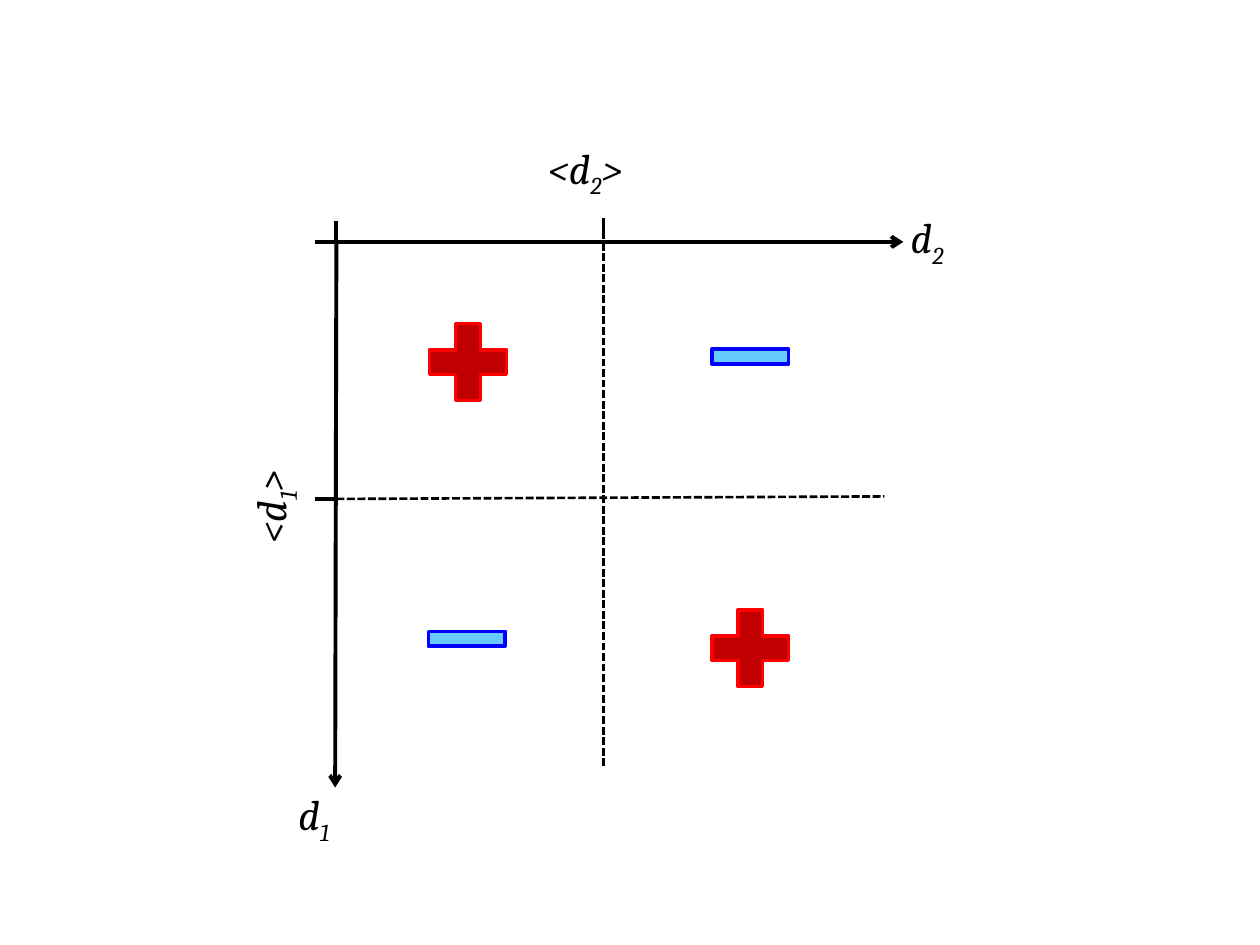
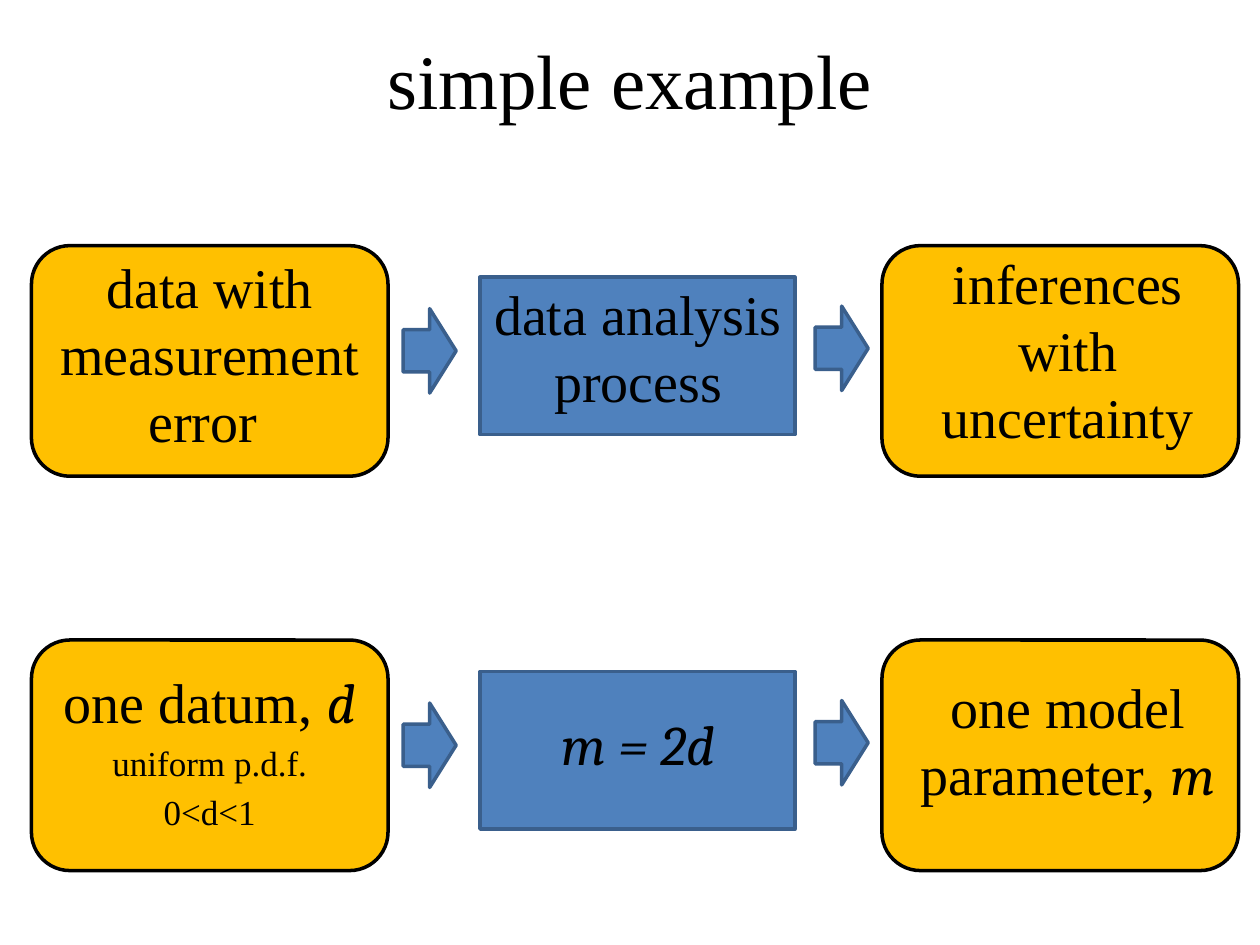
from pptx import Presentation
from pptx.dml.color import RGBColor
from pptx.enum.dml import MSO_LINE
from pptx.enum.shapes import MSO_CONNECTOR, MSO_SHAPE
from pptx.enum.text import MSO_ANCHOR, MSO_AUTO_SIZE, PP_ALIGN
from pptx.oxml.ns import qn
from pptx.util import Inches, Pt
from lxml import etree

STRAIGHT = MSO_CONNECTOR.STRAIGHT
DASH = MSO_LINE.SQUARE_DOT
PLUS, MINUS = MSO_SHAPE.MATH_PLUS, MSO_SHAPE.MATH_MINUS
RECT, ROUND, ARROW = MSO_SHAPE.RECTANGLE, MSO_SHAPE.ROUNDED_RECTANGLE, MSO_SHAPE.RIGHT_ARROW
CENTER, LEFT = PP_ALIGN.CENTER, PP_ALIGN.LEFT

THEME = {
    "ink": RGBColor.from_string("000000"),
    # fill and outline pairs
    "plus": ("C00000", "FF0000"),
    "minus": ("66CCFF", "0000FF"),
    "process": ("4F81BD", "3A5F8C"),
    "data": ("FFC000", "000000"),
    "axis": 2.25, "dash": 1.5, "outline": 2,
    # text formats
    "title": {"name": "Times New Roman", "size": Pt(44)},
    "text": {"name": "Times New Roman", "size": Pt(32)},
    "small": {"name": "Times New Roman", "size": Pt(20)},
    "symbol": {"name": "Cambria", "size": Pt(32), "italic": True},
    "label": {"name": "Cambria", "size": Pt(24), "italic": True},
}


def add_shape(shapes, kind, box, style):
    sp = shapes.add_shape(kind, *map(Inches, box))
    sp.shadow.inherit = False
    fill, line = (RGBColor.from_string(c) for c in THEME[style])
    sp.fill.solid()
    sp.fill.fore_color.rgb = fill
    sp.line.color.rgb = line
    sp.line.width = Pt(THEME["outline"])


def write(sp, paragraphs, align=CENTER, before=0.2):
    """Each paragraph is a list of (text, format name); 'sub' lowers a label."""
    tf = sp.text_frame
    tf.word_wrap = True
    tf.auto_size = MSO_AUTO_SIZE.NONE
    for i, runs in enumerate(paragraphs):
        p = tf.paragraphs[0] if i == 0 else tf.add_paragraph()
        p.alignment = align
        for text, style in runs:
            r = p.add_run()
            r.text = text
            fmt = THEME["label" if style == "sub" else style]
            for name, value in fmt.items():
                setattr(r.font, name, value)
            r.font.color.rgb = THEME["ink"]
            if style == "sub":
                r.font._element.set("baseline", "-25000")
        p.space_before = Pt(before * p.runs[0].font.size.pt)
        pPr = p._p.get_or_add_pPr()
        pPr.set("marL", "0")
        pPr.set("indent", "0")
        etree.SubElement(pPr, qn("a:buNone"))


prs = Presentation()
prs.slide_width, prs.slide_height = Inches(10), Inches(7.5)

# Slide 1: signs of the four quadrants
s = prs.slides.add_slide(prs.slide_layouts[6])
shapes = s.shapes.add_group_shape().shapes

# Axes, ticks and mean lines: x1, y1, x2, y2, weight, arrow
x0, y0, x_mean, y_mean, tick = 2.67, 1.92, 4.79, 3.96, 0.17
for x1, y1, x2, y2, weight, arrow in (
    (x0, y0, 7.17, y0, "axis", True),
    (x0, y0, 2.66, 6.25, "axis", True),
    (x0, y0 - tick, x0, y0, "axis", False),
    (x0 - tick, y0, x0, y0, "axis", False),
    (x_mean, 1.73, x_mean, 1.9, "axis", False),
    (x0 - tick, y_mean, x0, y_mean, "axis", False),
    (x0, y_mean, 7.02, 3.94, "dash", False),
    (x_mean, 6.08, x_mean, y0, "dash", False),
):
    line = shapes.add_connector(STRAIGHT, *map(Inches, (x1, y1, x2, y2)))
    line.line.color.rgb = THEME["ink"]
    line.line.width = Pt(THEME[weight])
    if weight == "dash":
        line.line.dash_style = DASH
    if arrow:
        etree.SubElement(line.line._get_or_add_ln(), qn("a:tailEnd"), type="arrow")
    etree.SubElement(line._element.spPr, qn("a:effectLst"))

# Axis and mean labels
for left, top, width, rotation, before, index, after in (
    (2.27, 6.21, 0.83, 0, "d", "1", ""),
    (7.13, 1.63, 0.83, 0, "d", "2", ""),
    (4.25, 1.08, 1.5, 0, "<d", "2", ">"),
    (1.39, 3.41, 1.5, 270, "<d", "1", ">"),
):
    sp = shapes.add_textbox(*map(Inches, (left, top, width, 0.5)))
    sp.rotation = rotation
    runs = [(before, "label"), (index, "sub")]
    if after:
        runs.append((after, "label"))
    write(sp, [runs], LEFT, 0)

# Quadrant signs
for kind, left, top, height, style in (
    (PLUS, 5.54, 4.73, 0.83, "plus"),
    (PLUS, 3.3, 2.46, 0.83, "plus"),
    (MINUS, 5.54, 2.58, 0.5, "minus"),
    (MINUS, 3.29, 4.82, 0.5, "minus"),
):
    add_shape(shapes, kind, (left, top, 0.83, height), style)

# Slide 2: two rows of data, process and result
s = prs.slides.add_slide(prs.slide_layouts[1])
title, body = s.placeholders
for y in (1.95, 5.08):
    for kind, left, dy, width, height, style in (
        (RECT, 3.81, 0.25, 2.5, 1.25, "process"),
        (ROUND, 7, 0, 2.83, 1.83, "data"),
        (ROUND, 0.25, 0, 2.83, 1.83, "data"),
        (ARROW, 3.2, 0.5, 0.42, 0.67, "process"),
        (ARROW, 6.47, 0.48, 0.42, 0.67, "process"),
    ):
        add_shape(s.shapes, kind, (left, y + dy, width, height), style)

# Title and box texts, placed above the boxes
texts = (
    (title, 0.5, 0, 9, 1.25, [[("simple example", "title")]]),
    (body, 0.33, 1.95, 2.67, 1.92, [[("data with measurement error ", "text")]]),
    (None, 3.73, 2.17, 2.67, 1.92, [[("data analysis process", "text")]]),
    (None, 7.14, 1.92, 2.67, 1.92, [[("inferences with uncertainty", "text")]]),
    (None, 0.33, 5.25, 2.67, 1.92, [[("one datum, ", "text"), ("d", "symbol")],
                                    [("uniform p.d.f.", "small")],
                                    [("0<d<1", "small")]]),
    (None, 3.73, 5.58, 2.67, 0.67, [[("m = 2d", "symbol")]]),
    (None, 7.14, 5.29, 2.67, 1.29, [[("one model parameter, ", "text"), ("m", "symbol")]]),
)
for sp, left, top, width, height, paragraphs in texts:
    box = [Inches(v) for v in (left, top, width, height)]
    if sp is None:
        sp = s.shapes.add_textbox(*box)
    else:
        sp.left, sp.top, sp.width, sp.height = box
        s.shapes.element.append(sp.element)
    write(sp, paragraphs, before=0 if sp is title else 0.2)
title.text_frame.vertical_anchor = MSO_ANCHOR.MIDDLE

prs.save("out.pptx")
